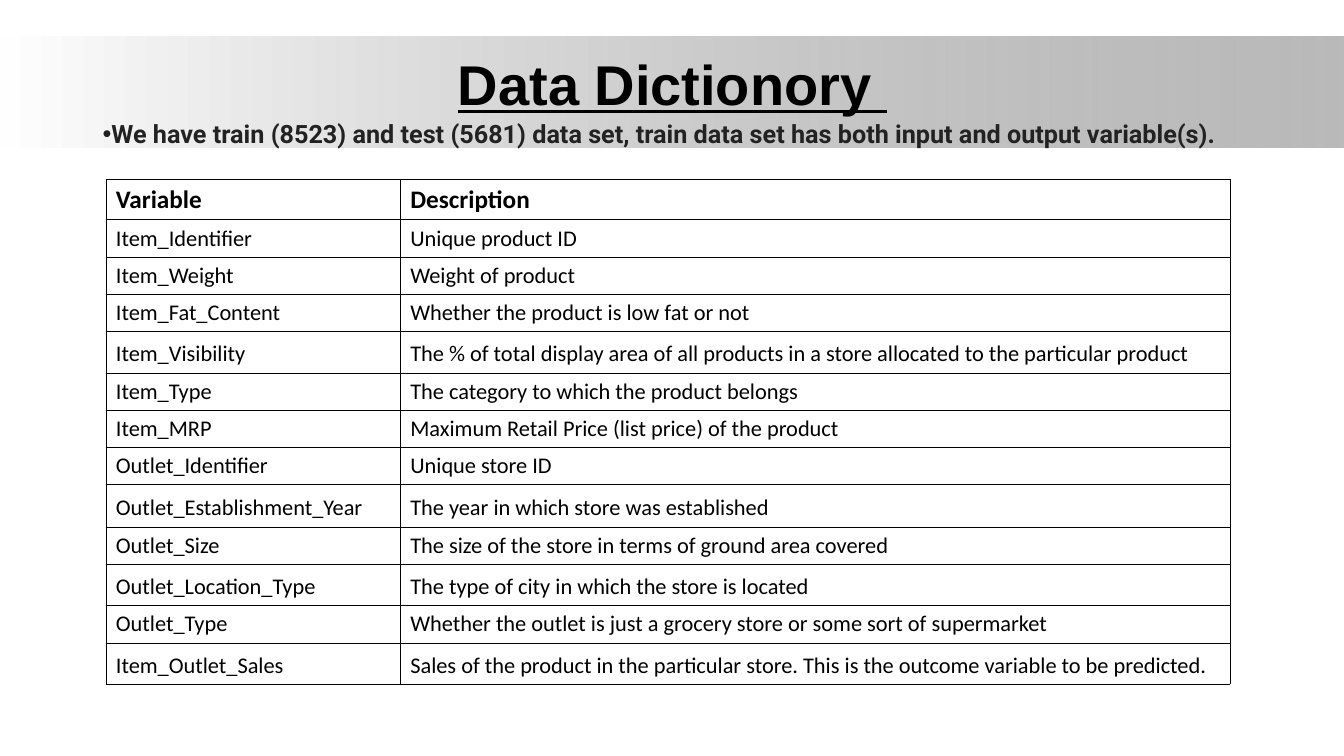
from pptx import Presentation
from pptx.dml.color import RGBColor
from pptx.enum.shapes import MSO_SHAPE as Shape
from pptx.enum.text import MSO_ANCHOR as Anchor, PP_ALIGN as Align
from pptx.oxml.ns import qn
from pptx.util import Inches, Pt
from lxml.etree import SubElement as Sub

# Content
TITLE = "Data Dictionory "
NOTE = ("We have train (8523) and test (5681) data set, "
        "train data set has both input and output variable(s).")
ROWS = [  # variable, description, row height
    ("Variable", "Description", 0.4),
    ("Item_Identifier", "Unique product ID", 0.37),
    ("Item_Weight", "Weight of product", 0.37),
    ("Item_Fat_Content", "Whether the product is low fat or not", 0.37),
    ("Item_Visibility", "The % of total display area of all products in a store "
     "allocated to the particular product", 0.41),
    ("Item_Type", "The category to which the product belongs", 0.37),
    ("Item_MRP", "Maximum Retail Price (list price) of the product", 0.37),
    ("Outlet_Identifier", "Unique store ID", 0.37),
    ("Outlet_Establishment_Year", "The year in which store was established", 0.42),
    ("Outlet_Size", "The size of the store in terms of ground area covered", 0.37),
    ("Outlet_Location_Type", "The type of city in which the store is located", 0.41),
    ("Outlet_Type",
     "Whether the outlet is just a grocery store or some sort of supermarket", 0.37),
    ("Item_Outlet_Sales", "Sales of the product in the particular store. "
     "This is the outcome variable to be predicted.", 0.41),
]
COLS = [2.92, 8.23]


def paint(color, hue):
    color.rgb = RGBColor.from_string(hue)


def write(frame, text, size, font, hue="000000", bold=False, under=False,
          align=Align.LEFT, anchor=Anchor.TOP):
    """Put one formatted paragraph in a text frame and return it."""
    frame.word_wrap = True
    frame.vertical_anchor = anchor
    para = frame.paragraphs[0]
    para.alignment = align
    run = para.add_run()
    run.text = text
    run.font.size, run.font.name = Pt(size), font
    run.font.bold, run.font.underline = bold, under
    paint(run.font.color, hue)
    return para


def edge(cell, hue, width):
    """Draw thin lines on all four sides of a cell, ahead of its fill."""
    props = cell._tc.get_or_add_tcPr()
    for spot, side in enumerate(("a:lnL", "a:lnR", "a:lnT", "a:lnB")):
        line = Sub(props, qn(side), w=str(Pt(width)))
        Sub(Sub(line, qn("a:solidFill")), qn("a:srgbClr"), val=hue)
        props.insert(spot, line)


deck = Presentation()
deck.slide_width, deck.slide_height = Inches(13.33), Inches(7.5)
slide = deck.slides.add_slide(deck.slide_layouts[5])
shapes = slide.shapes

# Gradient band behind the title
band = shapes.add_shape(Shape.RECTANGLE, 0, Inches(0.36), deck.slide_width, Inches(1.1))
band.shadow.inherit = False
band.line.fill.background()
band.fill.gradient()
band.fill.gradient_angle = 0
for stop, hue, spot in zip(band.fill.gradient_stops, ("FFFFFF", "808080"), (0, 1)):
    paint(stop.color, hue)
    stop.position = spot
last = band._element.spPr.findall(".//" + qn("a:srgbClr"))[-1]
Sub(last, qn("a:alpha"), val="54000")
shapes._spTree.insert(2, band._element)

# Title
title = shapes.title
title.left, title.top = Inches(0.92), Inches(0.4)
title.width, title.height = Inches(11.5), Inches(0.84)
write(title.text_frame, TITLE, 40, "Arial", bold=True, under=True,
      align=Align.CENTER, anchor=Anchor.MIDDLE)

# Bulleted note
note = shapes.add_textbox(Inches(0.92), Inches(1.24), Inches(11.5), Inches(0.4))
para = write(note.text_frame, NOTE, 18, "Roboto", hue="222222", bold=True)
para.line_spacing = Pt(13.2)
props = para._p.get_or_add_pPr()
Sub(props, qn("a:buFont"), typeface="Arial")
Sub(props, qn("a:buChar"), char="•")

# Table of variables
high = sum(row[2] for row in ROWS)
table = shapes.add_table(len(ROWS), len(COLS), Inches(1.05), Inches(1.78),
                         Inches(sum(COLS)), Inches(high)).table
table.horz_banding = False
for col, wide in zip(table.columns, COLS):
    col.width = Inches(wide)
for r, (*texts, tall) in enumerate(ROWS):
    table.rows[r].height = Inches(tall)
    head = r == 0
    for c, text in enumerate(texts):
        cell = table.cell(r, c)
        cell.fill.background()
        edge(cell, "000008", 0.5)
        cell.vertical_anchor = Anchor.BOTTOM
        write(cell.text_frame, text, 18 if head else 16, "Calibri",
              bold=head, anchor=Anchor.BOTTOM)

deck.save("out.pptx")
